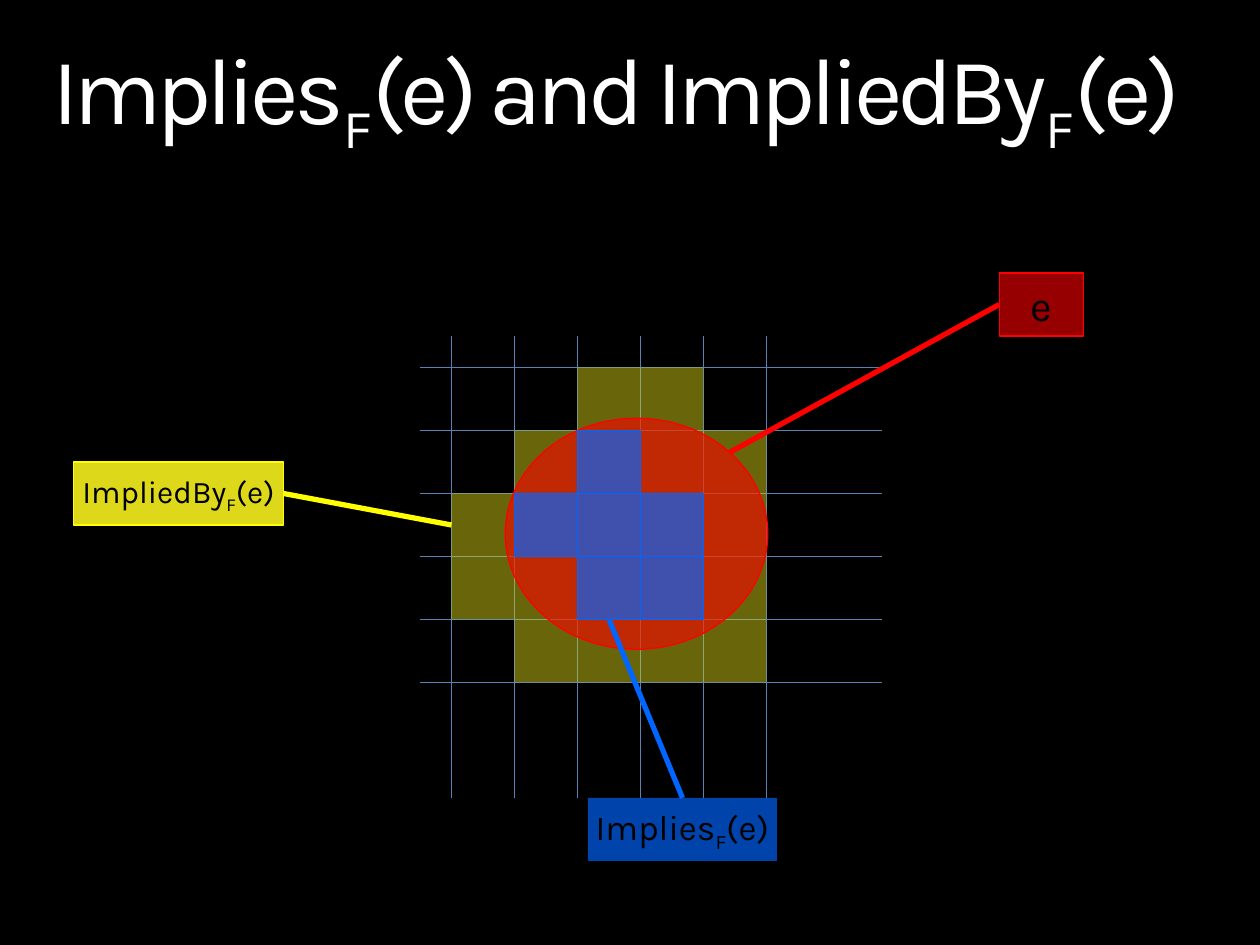
from dataclasses import dataclass
from typing import Optional

from lxml.etree import SubElement
from pptx import Presentation
from pptx.dml.color import RGBColor
from pptx.enum.shapes import MSO_CONNECTOR, MSO_SHAPE
from pptx.enum.text import MSO_ANCHOR, MSO_AUTO_SIZE, PP_ALIGN
from pptx.oxml.ns import qn
from pptx.util import Pt

COLORS = {
    "black": "000000",
    "white": "FFFFFF",
    "grid": "5782B5",
    "olive": "DDD819",
    "yellow": "FFFF00",
    "red": "FF0000",
    "blue": "0066FF",
}
FONT = "Karla"
CELL = 36
GRID_LEFT, GRID_TOP = 258, 210
LINE_COUNT = 6
LINES_LEFT, LINES_TOP, LINES_LENGTH = 240, 192, 264
IMPLIED_BY_CELLS = ["..##.", ".####", "#####", "#####", ".####"]
IMPLIES_CELLS = [".....", "..#..", ".###.", "..##.", "....."]


@dataclass
class Look:
    fill: str
    alpha: int = 100
    outline: Optional[str] = None


@dataclass
class Box:
    left: float
    top: float
    width: float
    height: float


@dataclass
class Callout:
    text: str
    size: int
    box: Box
    look: Look
    start: tuple[float, float]
    end: tuple[float, float]
    color: str


def rgb(name: str) -> RGBColor:
    return RGBColor.from_string(COLORS[name])


def draw_line(slide, start, end, color: str, width: float) -> None:
    line = slide.shapes.add_connector(
        MSO_CONNECTOR.STRAIGHT, *(Pt(value) for value in (*start, *end)))
    line.line.color.rgb = rgb(color)
    line.line.width = Pt(width)
    SubElement(line._element.spPr, qn("a:effectLst"))


def draw_shape(slide, kind, box: Box, look: Look):
    shape = slide.shapes.add_shape(
        kind, Pt(box.left), Pt(box.top), Pt(box.width), Pt(box.height))
    shape.shadow.inherit = False
    shape.fill.solid()
    shape.fill.fore_color.rgb = rgb(look.fill)
    if look.alpha < 100:
        color = shape._element.spPr.find(qn("a:solidFill"))[0]
        SubElement(color, qn("a:alpha"), val=str(look.alpha * 1000))
    if look.outline:
        shape.line.color.rgb = rgb(look.outline)
        shape.line.width = Pt(0.75)
    else:
        shape.line.fill.background()
    return shape


def add_runs(para, text: str, size: int, color: str, spacing: int = 0) -> None:
    for index, part in enumerate(text.split("_")):
        span = para.add_run()
        span.text = part
        span.font.name = FONT
        span.font.size = Pt(size)
        span.font.color.rgb = rgb(color)
        properties = span._r.get_or_add_rPr()
        if spacing:
            properties.set("spc", str(spacing * 100))
        if index % 2:
            properties.set("baseline", "-25000")


def draw_title(slide, text: str) -> None:
    title = slide.shapes.title
    title.left, title.top, title.width, title.height = Pt(30), Pt(18), Pt(660), Pt(52.5)
    frame = title.text_frame
    frame.margin_left = frame.margin_top = frame.margin_right = frame.margin_bottom = 0
    frame.vertical_anchor = MSO_ANCHOR.TOP
    frame.word_wrap = True
    frame.auto_size = MSO_AUTO_SIZE.SHAPE_TO_FIT_TEXT
    para = frame.paragraphs[0]
    para.alignment = PP_ALIGN.LEFT
    para.line_spacing = 0.9
    add_runs(para, text, 54, "white", -3)


def draw_grid(slide) -> None:
    for index in range(LINE_COUNT):
        y = GRID_TOP + index * CELL
        draw_line(slide, (LINES_LEFT, y), (LINES_LEFT + LINES_LENGTH, y), "grid", 0.75)
    for index in range(LINE_COUNT):
        x = GRID_LEFT + index * CELL
        draw_line(slide, (x, LINES_TOP), (x, LINES_TOP + LINES_LENGTH), "grid", 0.75)


def draw_cells(slide, rows: list[str], look: Look) -> None:
    for row, marks in enumerate(rows):
        for column, mark in enumerate(marks):
            if mark == "#":
                box = Box(GRID_LEFT + column * CELL, GRID_TOP + row * CELL, CELL, CELL)
                draw_shape(slide, MSO_SHAPE.RECTANGLE, box, look)


def draw_callout(slide, callout: Callout) -> None:
    draw_line(slide, callout.start, callout.end, callout.color, 3)
    label = draw_shape(slide, MSO_SHAPE.RECTANGLE, callout.box, callout.look)
    frame = label.text_frame
    frame.word_wrap = False
    frame.vertical_anchor = MSO_ANCHOR.MIDDLE
    para = frame.paragraphs[0]
    para.alignment = PP_ALIGN.CENTER
    add_runs(para, callout.text, callout.size, "black")


def main() -> None:
    deck = Presentation()
    deck.slide_width, deck.slide_height = Pt(720), Pt(540)
    slide = deck.slides.add_slide(deck.slide_layouts[5])
    slide.background.fill.solid()
    slide.background.fill.fore_color.rgb = rgb("black")

    draw_title(slide, "Implies_F_(e) and ImpliedBy_F_(e)")
    draw_grid(slide)

    draw_cells(slide, IMPLIED_BY_CELLS, Look("olive", 47))
    draw_callout(slide, Callout(
        "ImpliedBy_F_(e)", 18, Box(42, 264, 120, 36), Look("olive", outline="yellow"),
        (162, 282), (258, 300), "yellow"))

    red = Look("red", 59, "red")
    draw_shape(slide, MSO_SHAPE.OVAL, Box(288.75, 239, 150, 132), red)
    draw_callout(slide, Callout(
        "e", 24, Box(571, 156, 48, 36), red, (417, 258.5), (571, 174), "red"))

    draw_cells(slide, IMPLIES_CELLS, Look("blue", 67, "blue"))
    draw_callout(slide, Callout(
        "Implies_F_(e)", 20, Box(336, 456, 108, 36), Look("blue", 67),
        (348, 354), (390, 456), "blue"))

    deck.save("out.pptx")


if __name__ == "__main__":
    main()
